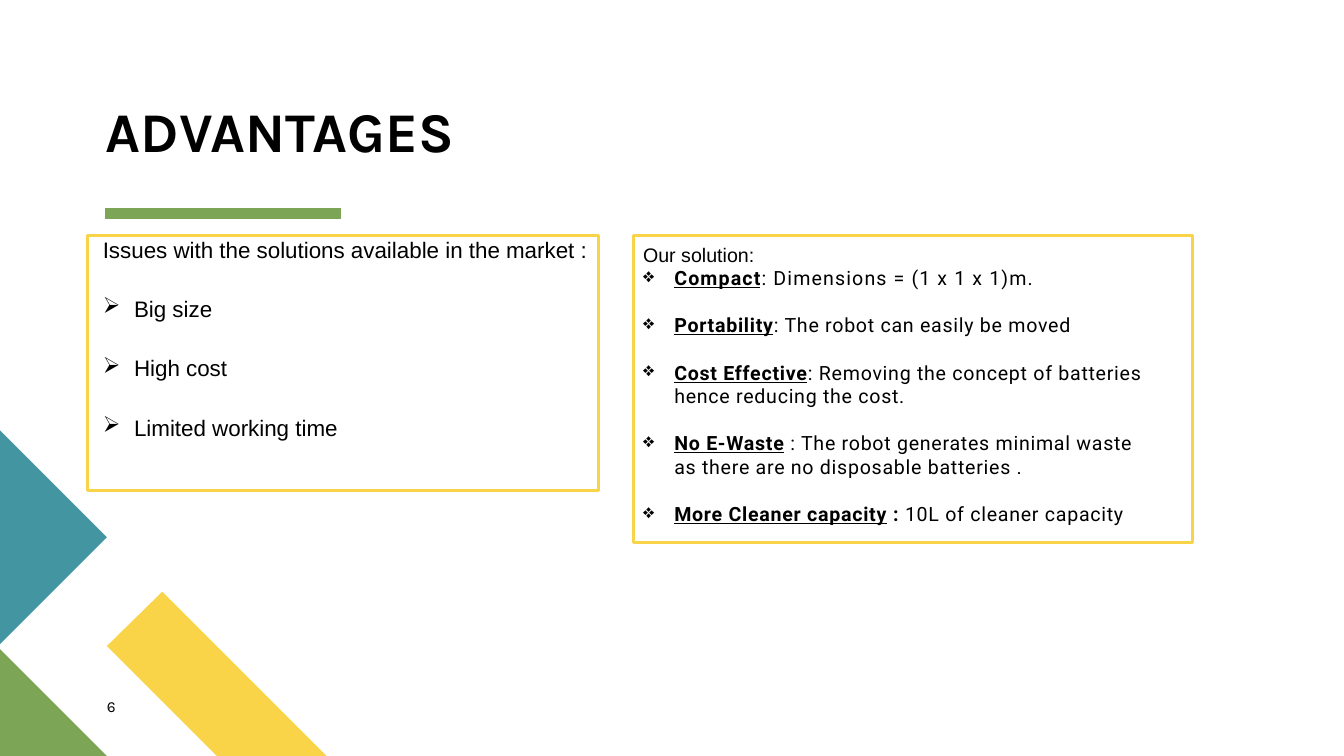
from pptx import Presentation
from pptx.dml.color import RGBColor as Rgb
from pptx.enum.shapes import MSO_CONNECTOR as Conn, MSO_SHAPE as Shape
from pptx.enum.text import MSO_ANCHOR as Anchor, MSO_AUTO_SIZE as Auto, PP_ALIGN as Align
from pptx.oxml.ns import qn
from pptx.util import Inches, Pt
from lxml.etree import SubElement as Sub

BLACK, WHITE = "000000", "FFFFFF"
GOLD, GREEN, TEAL = "F9D448", "7CA655", "4495A2"
CORNER = [
    (GOLD, [(3.24, 7.5), (2.15, 7.5), (1.06, 6.41), (1.61, 5.87)]),
    (GREEN, [(1.06, 7.5), (0, 7.5), (0, 6.44)]),
    (TEAL, [(0, 4.27), (1.06, 5.33), (0, 6.39)]),
]
HEAD = "Issues with the solutions available in the market :"
ISSUES = ["Big size", "High cost", "Limited working time"]
GAINS = [
    ("Compact", "", ": Dimensions = (1 x 1 x 1)m.", 80),
    ("Portability", "", ": The robot can easily be moved", 50),
    ("Cost Effective", "",
     ": Removing the concept of batteries hence reducing the cost.", 50),
    ("No E-Waste", " ",
     ": The robot generates minimal waste as there are no disposable batteries .", 50),
    ("More Cleaner capacity", " : ", "10L of cleaner capacity", 50),
]


def color(code):
    """Turn a hex string into a colour."""
    return Rgb.from_string(code)


def style(run, size, face, bold=False, under=False, space=0):
    """Set the look of one run of black text."""
    font = run.font
    font.size, font.name, font.bold, font.underline = Pt(size), face, bold, under
    font.color.rgb = color(BLACK)
    if space:
        run._r.get_or_add_rPr().set("spc", str(space))


def bullet(para, mark, left, hang):
    """Give a paragraph a hanging indent and, if there is a mark, a bullet."""
    props = para._p.get_or_add_pPr()
    props.set("marL", str(Inches(left)))
    props.set("indent", str(-Inches(hang)))
    if mark:
        Sub(Sub(props, qn("a:buClr")), qn("a:srgbClr")).set("val", BLACK)
        Sub(props, qn("a:buChar")).set("char", mark)


def flush(frame):
    """Remove the inner margins of a text frame."""
    frame.margin_left = frame.margin_right = 0
    frame.margin_top = frame.margin_bottom = 0


def textbox(slide, left, top, width, height):
    """Add a wrapping text box and return its frame."""
    box = slide.shapes.add_textbox(
        Inches(left), Inches(top), Inches(width), Inches(height))
    box.text_frame.word_wrap = True
    return box.text_frame


def patch(slide, fill, dots):
    """Draw a filled polygon through the given points."""
    first, *rest = [(Inches(x), Inches(y)) for x, y in dots]
    build = slide.shapes.build_freeform(*first)
    build.add_line_segments(rest)
    shape = build.convert_to_shape()
    shape.shadow.inherit = False
    shape.fill.solid()
    shape.fill.fore_color.rgb = color(fill)
    shape.line.fill.background()


def panel(slide, left, top, width, height):
    """Draw a white box with a gold outline."""
    shape = slide.shapes.add_shape(
        Shape.RECTANGLE, Inches(left), Inches(top), Inches(width), Inches(height))
    shape.shadow.inherit = False
    shape.fill.solid()
    shape.fill.fore_color.rgb = color(WHITE)
    shape.line.color.rgb = color(GOLD)
    shape.line.width = Pt(2)


def rule(slide, left, right, top):
    """Draw the thick green line under the title."""
    line = slide.shapes.add_connector(
        Conn.STRAIGHT, Inches(left), Inches(top), Inches(right), Inches(top))
    line.line.color.rgb = color(GREEN)
    line.line.width = Pt(8)
    Sub(line._element.spPr, qn("a:effectLst"))


def heading(slide, text):
    """Place and format the title."""
    title = slide.shapes.title
    title.left, title.top = Inches(1.05), Inches(0.96)
    title.width, title.height = Inches(5.4), Inches(0.67)
    frame = title.text_frame
    frame.text = text
    frame.auto_size = Auto.NONE
    frame.vertical_anchor = Anchor.BOTTOM
    flush(frame)
    para = frame.paragraphs[0]
    para.alignment, para.line_spacing = Align.LEFT, 0.9
    style(para.runs[0], 40, "Karla", bold=True)


def issues(slide):
    """Write the list of market issues."""
    frame = textbox(slide, 0.77, 2.16, 5.27, 2.86)
    flush(frame)
    frame.text = "\n".join([HEAD, *ISSUES])
    for num, para in enumerate(frame.paragraphs):
        para.alignment = Align.JUSTIFY
        para.line_spacing, para.space_before = Pt(32.3), Pt(10)
        bullet(para, *(("➢", 0.56, 0.31) if num else ("", 0.5, 0.25)))
        style(para.runs[0], 16, "Arial")


def gains(slide):
    """Write the list of our solution's strengths."""
    frame = textbox(slide, 6.28, 2.36, 5.27, 3.16)
    frame.text = "Our solution:"
    style(frame.paragraphs[0].runs[0], 14, "Arial")
    for num, (name, join, note, space) in enumerate(GAINS):
        para = frame.add_paragraph()
        para.space_before = Pt(16.8 if num else 0)
        bullet(para, "❖", 0.31, 0.31)
        parts = [(name, True, True), (join, True, False), (note, False, False)]
        for text, bold, under in parts:
            if text:
                run = para.add_run()
                run.text = text
                style(run, 14, "Roboto", bold, under, space)


def number(slide, text):
    """Write the slide number."""
    frame = textbox(slide, 1.06, 6.92, 0.57, 0.27)
    flush(frame)
    frame.text = text
    style(frame.paragraphs[0].runs[0], 11, "Karla")


def main():
    """Build and save the slide."""
    deck = Presentation()
    deck.slide_width, deck.slide_height = Inches(13.33), Inches(7.5)
    slide = deck.slides.add_slide(deck.slide_layouts[5])
    for fill, dots in CORNER:
        patch(slide, fill, dots)
    rule(slide, 1.04, 3.38, 2.12)
    panel(slide, 6.28, 2.34, 5.55, 3.04)
    panel(slide, 0.87, 2.34, 5.07, 2.53)
    heading(slide, "ADVANTAGES")
    issues(slide)
    gains(slide)
    number(slide, "6")
    deck.save("out.pptx")


if __name__ == "__main__":
    main()
